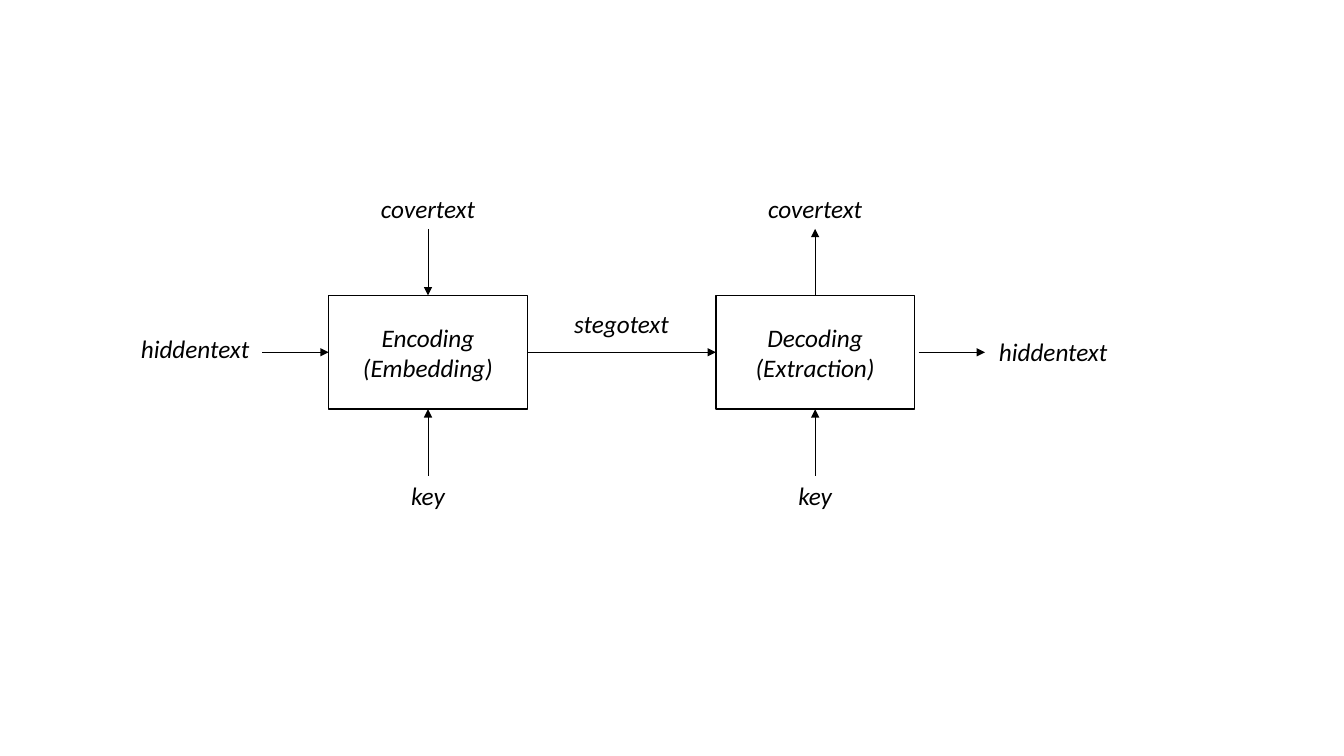
from lxml import etree
from pptx import Presentation
from pptx.dml.color import RGBColor
from pptx.enum.shapes import MSO_CONNECTOR, MSO_SHAPE
from pptx.enum.text import MSO_ANCHOR, PP_ALIGN
from pptx.oxml.ns import qn
from pptx.util import Inches, Pt

RECT, STRAIGHT = MSO_SHAPE.RECTANGLE, MSO_CONNECTOR.STRAIGHT
CENTER, TOP, MIDDLE = PP_ALIGN.CENTER, MSO_ANCHOR.TOP, MSO_ANCHOR.MIDDLE
BLACK = "000000"
FONT = {"name": "Calibri", "size": Pt(18), "italic": True}

# Content: stages with their left edge, and whether covertext flows in
STAGES = [
    (3.26, ["Encoding", "(Embedding)"], True),
    (7.1, ["Decoding", "(Extraction)"], False),
]
BOX_W, BOX_H, BOX_TOP = 1.97, 1.13, 2.93
LABEL_W, LABEL_H, ARROW = 1.35, 0.4, 0.66
BOX_BOTTOM, MID_Y = BOX_TOP + BOX_H, BOX_TOP + BOX_H / 2
ENC_LEFT, DEC_LEFT = STAGES[0][0], STAGES[1][0]
ENC_RIGHT, OUT_X = ENC_LEFT + BOX_W, DEC_LEFT + BOX_W + 0.04

# Side labels: text, left, top, width
SIDE_LABELS = [
    ("hiddentext", 1.26, 3.26, LABEL_W),
    ("stegotext", 5.54, 3.01, 1.25),
    ("hiddentext", 9.77, 3.29, LABEL_W),
]
# Horizontal flow: start x, end x
FLOW = [(ENC_LEFT - ARROW, ENC_LEFT), (ENC_RIGHT, DEC_LEFT), (OUT_X, OUT_X + ARROW)]

prs = Presentation()
prs.slide_width, prs.slide_height = Inches(13.33), Inches(7.5)
s = prs.slides.add_slide(prs.slide_layouts[6])


def rgb(value):
    return RGBColor.from_string(value)


def write(shape, lines, anchor):
    tf = shape.text_frame
    tf.word_wrap, tf.vertical_anchor = True, anchor
    for i, line in enumerate(lines):
        p = tf.paragraphs[0] if i == 0 else tf.add_paragraph()
        p.alignment = CENTER
        r = p.add_run()
        r.text = line
        r.font.color.rgb = rgb(BLACK)
        for key, value in FONT.items():
            setattr(r.font, key, value)


def add_box(x, lines):
    sp = s.shapes.add_shape(RECT, Inches(x), Inches(BOX_TOP), Inches(BOX_W), Inches(BOX_H))
    sp.shadow.inherit = False
    sp.fill.background()
    sp.line.color.rgb = rgb(BLACK)
    sp.line.width = Pt(1)
    write(sp, lines, MIDDLE)


def add_label(text, x, y, w=LABEL_W):
    write(s.shapes.add_textbox(Inches(x), Inches(y), Inches(w), Inches(LABEL_H)), [text], TOP)


def add_arrow(x1, y1, x2, y2):
    c = s.shapes.add_connector(STRAIGHT, Inches(x1), Inches(y1), Inches(x2), Inches(y2))
    c.line.color.rgb = rgb(BLACK)
    c.line.width = Pt(0.5)
    etree.SubElement(c.line._get_or_add_ln(), qn("a:tailEnd"), type="triangle")
    etree.SubElement(c._element.spPr, qn("a:effectLst"))


# Stages with covertext above and key below
for left, lines, covertext_in in STAGES:
    add_box(left, lines)
    mid_x = left + BOX_W / 2
    label_x = mid_x - LABEL_W / 2
    ends = [BOX_TOP - ARROW, BOX_TOP]
    y1, y2 = ends if covertext_in else reversed(ends)
    add_arrow(mid_x, y1, mid_x, y2)
    add_label("covertext", label_x, BOX_TOP - ARROW - LABEL_H)
    add_arrow(mid_x, BOX_BOTTOM + ARROW, mid_x, BOX_BOTTOM)
    add_label("key", label_x, BOX_BOTTOM + ARROW)

# Horizontal flow from left to right
for start, end in FLOW:
    add_arrow(start, MID_Y, end, MID_Y)
for label in SIDE_LABELS:
    add_label(*label)

prs.save("out.pptx")
